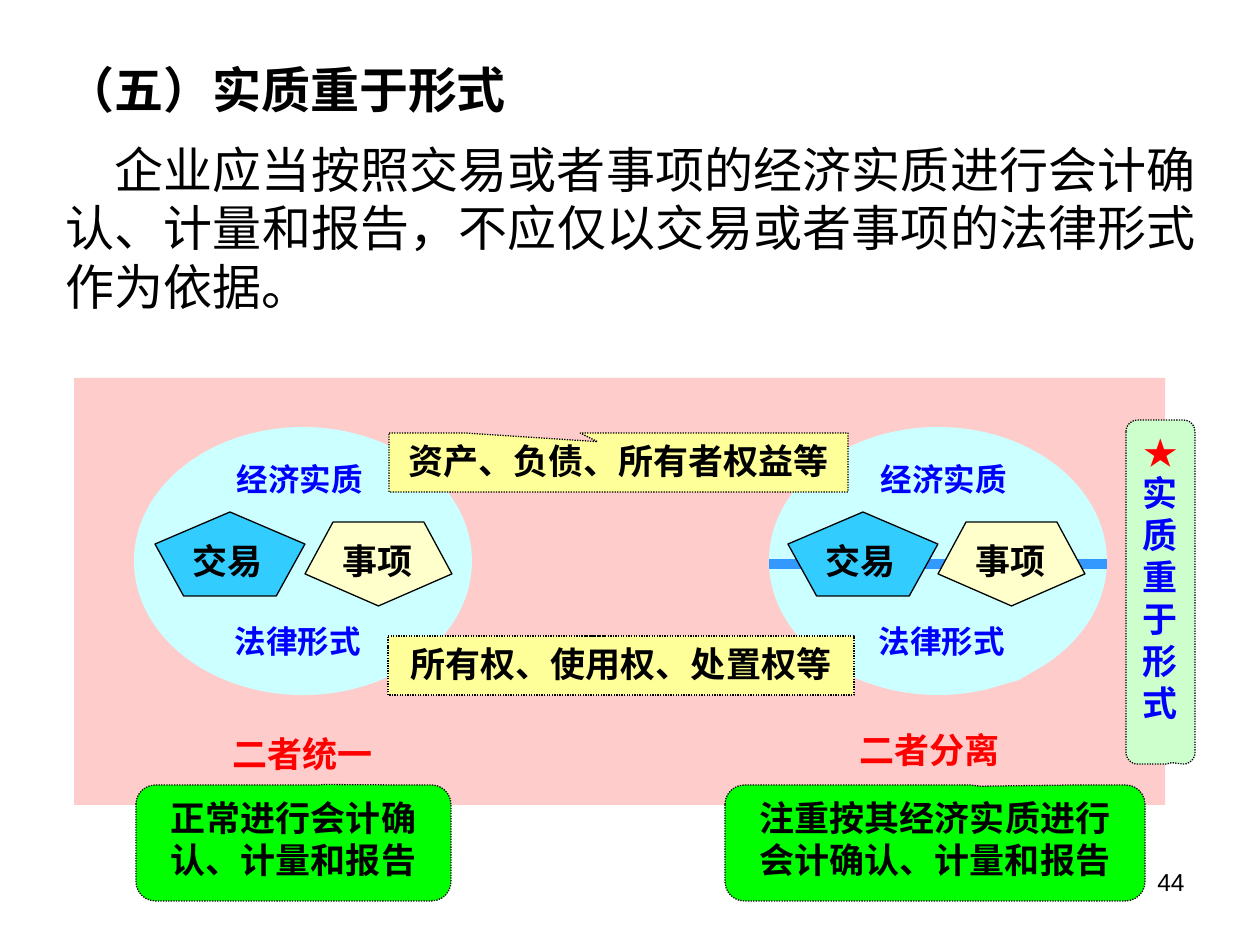
from pptx import Presentation
from pptx.dml.color import RGBColor as Rgb
from pptx.enum.dml import MSO_LINE as Dash
from pptx.enum.shapes import MSO_CONNECTOR as Conn, MSO_SHAPE as Kind
from pptx.enum.text import MSO_ANCHOR as Anchor, MSO_AUTO_SIZE as Auto, PP_ALIGN as Align
from pptx.oxml.ns import qn
from pptx.util import Inches, Pt
from lxml.etree import SubElement as Sub

HEX = {
    "black": "000000", "red": "FF0000", "blue": "0000FF", "pink": "FFCCCC",
    "pale": "CCFFFF", "cream": "FFFFCC", "sky": "33CCFF", "mint": "CCFFCC",
    "yellow": "FFFF99", "green": "00FF00", "bar": "3399FF",
}
CJK, SERIF, SANS = "Noto Sans CJK SC", "Times New Roman", "Arial"
UNIT = Inches(10) / 1260

TITLE = "（五）实质重于形式"
BODY = "企业应当按照交易或者事项的经济实质进行会计确认、计量和报告，不应仅以交易或者事项的法律形式作为依据。"
ASPECTS = [("经济实质", 2, 454), ("法律形式", 0, 616)]
DEALS = [("交易", 0, (0, 512, 150, 84), "sky", False),
         ("事项", 150, (150, 522, 147, 84), "cream", True)]
SIDES = [
    dict(oval=134, adj=(0.328, 0.379), label=213, deal=155,
         verdict=("二者统一", (213, 726, 179, 59)),
         result=("正常进行会计确认、计量和报告", (136, 785, 315, 116), (0.096, -0.504, 0.167))),
    dict(oval=769, adj=(0.239, 0.444), label=857, deal=788,
         verdict=("二者分离", (840, 722, 179, 59)),
         result=("注重按其经济实质进行会计确认、计量和报告", (725, 785, 420, 116), (0.109, -0.489, 0.167))),
]
NOTES = [("资产、负债、所有者权益等", (389, 433, 459, 59), (-0.046, -0.353)),
         ("所有权、使用权、处置权等", (388, 636, 466, 59), (-0.034, -0.5))]
MOTTO = [("★", "red"), ("实质重于形式", "blue")]


def px(*nums):
    return [round(n * UNIT) for n in nums]


def write(frame, text, size=20, font=SERIF, color="black", bold=True,
          align=Align.CENTER, indent=0, more=False):
    frame.word_wrap = True
    frame.auto_size = Auto.NONE
    frame.vertical_anchor = Anchor.TOP
    para = frame.add_paragraph() if more else frame.paragraphs[0]
    para.alignment = align
    para.line_spacing = Pt(round(size * 1.2, 1))
    if indent:
        para._p.get_or_add_pPr().set("indent", str(px(indent)[0]))
    run = para.add_run()
    run.text = text
    run.font.size = Pt(size)
    run.font.bold = bold
    run.font.color.rgb = Rgb.from_string(HEX[color])
    run.font.name = font
    Sub(run.font._element, qn("a:ea")).set("typeface", CJK)


def label(text, box, **form):
    write(slide.shapes.add_textbox(*px(*box)).text_frame, text, **form)


def draw(kind, box, fill, line=False, dots=False, adj=()):
    item = slide.shapes.add_shape(kind, *px(*box))
    item.shadow.inherit = False
    item.fill.solid()
    item.fill.fore_color.rgb = Rgb.from_string(HEX[fill])
    for i, val in enumerate(adj):
        item.adjustments[i] = val
    if line:
        item.line.color.rgb = Rgb.from_string(HEX["black"])
        item.line.width = Pt(0.75)
        if dots:
            item.line.dash_style = Dash.ROUND_DOT
    else:
        item.line.fill.background()
    return item


deck = Presentation()
deck.slide_width, deck.slide_height = Inches(10), Inches(7.5)
slide = deck.slides.add_slide(deck.slide_layouts[5])

title = slide.shapes.title
title.left, title.top, title.width, title.height = px(53, 53, 1156, 76)
write(title.text_frame, TITLE, size=28, font=CJK, align=Align.LEFT)
label(BODY, (53, 133, 1156, 225), size=28, font=CJK, bold=False,
      align=Align.JUSTIFY, indent=49)

draw(Kind.RECTANGULAR_CALLOUT, (74, 378, 1091, 427), "pink", adj=(0.012, 0.5))
for side in SIDES:
    draw(Kind.OVAL_CALLOUT, (side["oval"], 427, 338, 268), "pale", adj=side["adj"])
    for text, dx, top in ASPECTS:
        label(text, (side["label"] + dx, top, 169, 49), size=18, color="blue")

bar = slide.shapes.add_connector(Conn.STRAIGHT, *px(769, 564, 1107, 564))
bar.line.color.rgb = Rgb.from_string(HEX["bar"])
bar.line.width = Pt(6)
Sub(bar._element.spPr, qn("a:effectLst"))

for side in SIDES:
    for text, dx, (x, y, w, h), fill, flip in DEALS:
        penta = draw(Kind.REGULAR_PENTAGON, (side["deal"] + x, y, w, h), fill, line=True)
        if flip:
            penta._element.spPr.xfrm.set("flipV", "1")
        label(text, (side["deal"] + dx + 10, 533, 126, 63), font=SANS)
    text, box = side["verdict"]
    label(text, box, color="red")
    text, box, adj = side["result"]
    card = draw(Kind.ROUNDED_RECTANGULAR_CALLOUT, box, "green", True, True, adj)
    write(card.text_frame, text)

for text, box, adj in NOTES:
    note = draw(Kind.RECTANGULAR_CALLOUT, box, "yellow", True, True, adj)
    write(note.text_frame, text)

pill = draw(Kind.ROUNDED_RECTANGULAR_CALLOUT, (1126, 420, 69, 344), "mint",
            True, True, (0.162, 0.496, 0.167))
for i, (text, color) in enumerate(MOTTO):
    write(pill.text_frame, text, color=color, more=i > 0)

label("44", (903, 861, 294, 65), size=14, font=SANS, bold=False, align=Align.RIGHT)
deck.save("out.pptx")
